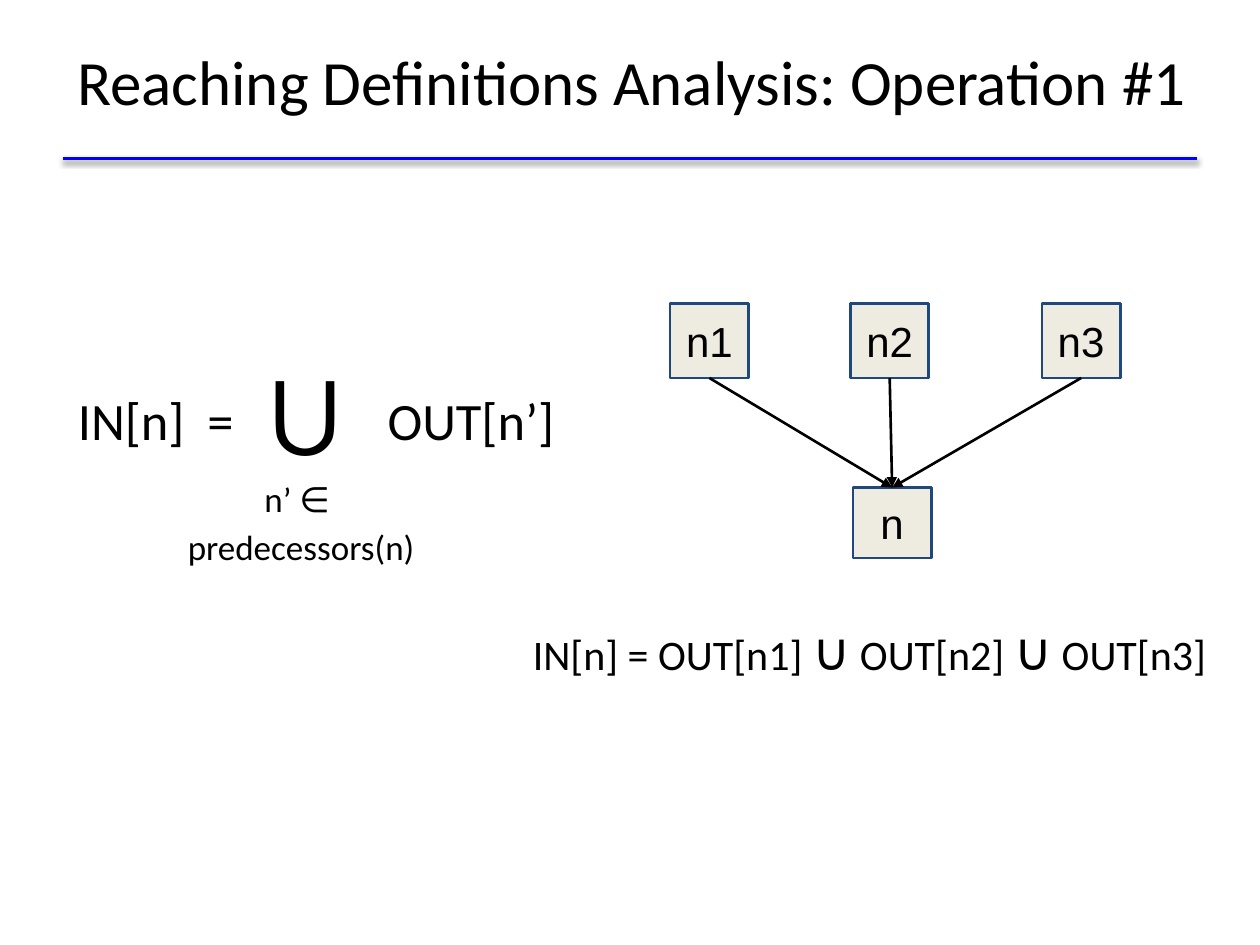
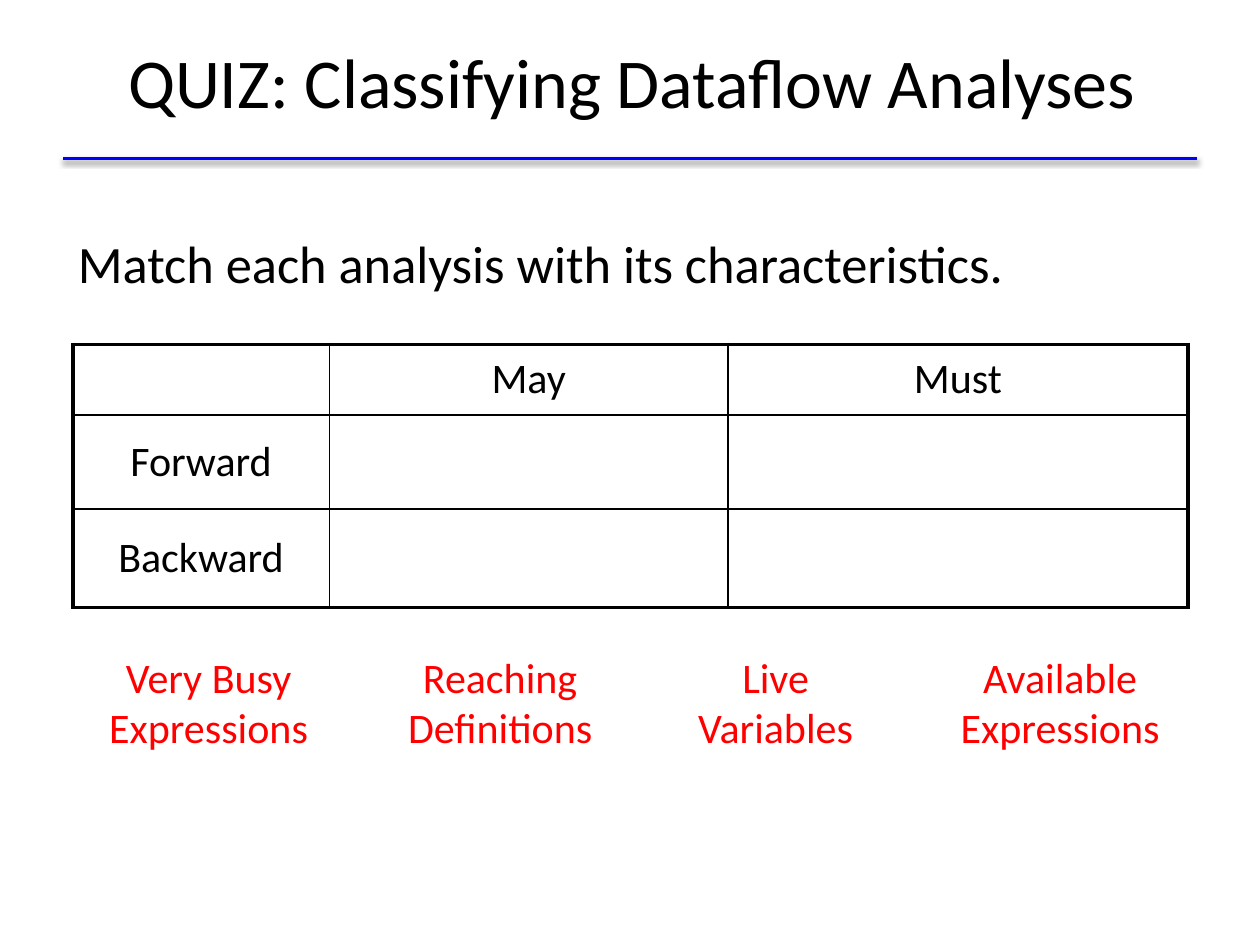
from lxml import etree
from pptx import Presentation
from pptx.dml.color import RGBColor
from pptx.enum import shapes, text
from pptx.oxml import ns
from pptx.util import Pt

BLACK = RGBColor(0x00, 0x00, 0x00)
BLUE = RGBColor(0x00, 0x00, 0xFF)
NAVY = RGBColor(0x1F, 0x49, 0x7D)
CREAM = RGBColor(0xEE, 0xEC, 0xE1)
RED = RGBColor(0xFF, 0x00, 0x00)
BODY, LABEL = "Calibri", "Arial"
CENTER, LEFT = text.PP_ALIGN.CENTER, text.PP_ALIGN.LEFT
TOP, MIDDLE = text.MSO_ANCHOR.TOP, text.MSO_ANCHOR.MIDDLE
UNION = "\u222a"


def add_xml(parent, tag, **attributes):
    return etree.SubElement(parent, ns.qn(tag), attributes)


class Lecture:
    """Holds the deck, its style and the current slide."""

    def __init__(self):
        self.deck = Presentation()
        self.deck.slide_width, self.deck.slide_height = Pt(720), Pt(540)
        self.page = None

    def new_page(self, title, size):
        self.page = self.deck.slides.add_slide(self.deck.slide_layouts[5])
        self.rule()
        box = self.page.shapes.title
        box.left, box.top, box.width, box.height = Pt(35), Pt(1), Pt(652), Pt(90)
        self.fill_frame(box.text_frame, [(title, size)], anchor=MIDDLE)

    def fill_frame(self, frame, spans, font=BODY, color=BLACK, align=CENTER,
                   anchor=TOP, inset=7.2, spaced=False):
        """Fill a frame with (words, size) spans; a newline breaks the line."""
        frame.word_wrap = True
        frame.auto_size = text.MSO_AUTO_SIZE.NONE
        frame.vertical_anchor = anchor
        frame.margin_left = frame.margin_right = Pt(7.2)
        frame.margin_top = frame.margin_bottom = Pt(inset)
        return self.fill_para(frame.paragraphs[0], spans, font, color, align, spaced)

    def fill_para(self, para, spans, font=BODY, color=BLACK, align=CENTER, spaced=False):
        para.alignment = align
        if spaced:
            para.line_spacing, para.space_before = 1.15, Pt(5.9)
        for words, size in spans:
            for index, line in enumerate(words.split("\n")):
                if index:
                    para.add_line_break()
                span = para.add_run()
                span.text = line
                span.font.name, span.font.size = font, Pt(size)
                span.font.bold = False
                span.font.color.rgb = color
        return para

    def text_box(self, left, top, width, height, spans, **style):
        box = self.page.shapes.add_textbox(Pt(left), Pt(top), Pt(width), Pt(height))
        return self.fill_frame(box.text_frame, spans, **style)

    def node(self, left, top, height, name):
        box = self.page.shapes.add_shape(
            shapes.MSO_SHAPE.RECTANGLE, Pt(left), Pt(top), Pt(44.8), Pt(height))
        box.shadow.inherit = False
        box.fill.solid()
        box.fill.fore_color.rgb = CREAM
        box.line.color.rgb, box.line.width = NAVY, Pt(1.5)
        self.fill_frame(box.text_frame, [(name, 24)], font=LABEL, anchor=MIDDLE)
        return box

    def line(self, x1, y1, x2, y2, color, width):
        """Return a straight line and its empty effect list."""
        line = self.page.shapes.add_connector(
            shapes.MSO_CONNECTOR.STRAIGHT, Pt(x1), Pt(y1), Pt(x2), Pt(y2))
        line.line.color.rgb, line.line.width = color, Pt(width)
        return line, add_xml(line._element.spPr, "a:effectLst")

    def rule(self):
        effects = self.line(36, 90.6, 684, 90.6, BLUE, 2)[1]
        shadow = add_xml(effects, "a:outerShdw", blurRad=str(Pt(3.1)),
                         dist=str(Pt(1.6)), dir="5400000", rotWithShape="0")
        shade = add_xml(shadow, "a:srgbClr", val=str(BLACK))
        add_xml(shade, "a:alpha", val="38000")

    def arrow(self, source, target):
        """Join the bottom of one node to the top of another."""
        line = self.line(0, 0, 1, 1, BLACK, 1.5)[0]
        line.begin_connect(source, 2)
        line.end_connect(target, 0)
        add_xml(line._element.spPr.find(ns.qn("a:ln")), "a:tailEnd", type="triangle")

    def grid(self, left, top, widths, heights, rows):
        """Table with a heavy frame and thin inner lines."""
        table = self.page.shapes.add_table(
            len(heights), len(widths), Pt(left), Pt(top),
            Pt(sum(widths)), Pt(sum(heights))).table
        table.first_row = table.horz_banding = False
        for column, width in zip(table.columns, widths):
            column.width = Pt(width)
        for r, (height, row) in enumerate(zip(heights, rows)):
            table.rows[r].height = Pt(height)
            for c, words in enumerate(row):
                cell = table.cell(r, c)
                cell.vertical_anchor = MIDDLE
                cell.margin_top = cell.margin_bottom = Pt(3)
                if words:
                    self.fill_para(cell.text_frame.paragraphs[0], [(words, 24)])
                outer = {"L": c == 0, "R": c == len(widths) - 1,
                         "T": r == 0, "B": r == len(heights) - 1}
                for side, heavy in outer.items():
                    edge = add_xml(cell._tc.get_or_add_tcPr(), "a:ln" + side,
                                   w=str(Pt(2.25 if heavy else 1)))
                    add_xml(add_xml(edge, "a:solidFill"), "a:srgbClr", val=str(BLACK))
                cell.fill.background()


lecture = Lecture()

# Slide 1: union over predecessors
lecture.new_page("Reaching Definitions Analysis: Operation #1", 36)
formula = lecture.text_box(37.4, 213, 300, 80, [("IN[n]\t=\tOUT[n\u2019]", 30)],
                           align=LEFT, inset=3.6, spaced=True)
tabs = add_xml(formula._p.get_or_add_pPr(), "a:tabLst")
for stop in (74, 177):
    add_xml(tabs, "a:tab", pos=str(Pt(stop)), algn="l")
lecture.text_box(71.3, 265.7, 201.6, 38, [("n\u2019 \u2208 \npredecessors(n)", 20)],
                 inset=3.6, spaced=True)
lecture.text_box(142.6, 183.6, 60, 106, [(UNION, 70)], font=LABEL, align=LEFT)

# Flow graph
merge = lecture.node(487.4, 278.6, 40.3, "n")
for name, left in (("n1", 383), ("n2", 486), ("n3", 595.4)):
    lecture.arrow(lecture.node(left, 173.5, 42.5, name), merge)
lecture.text_box(288.7, 334.8, 416.2, 67.7,
                 [("IN[n] = OUT[n1] ", 24), (UNION, 30), (" OUT[n2] ", 24),
                  (UNION, 30), (" OUT[n3]", 24)], anchor=MIDDLE, spaced=True)

# Slide 2: quiz
lecture.new_page("QUIZ: Classifying Dataflow Analyses", 40)
lecture.text_box(37.4, 124.6, 637, 44.6,
                 [("Match each analysis with its characteristics.", 30)], align=LEFT)
lecture.grid(41.6, 196.8, (146.6, 227.8, 262.8), (40.3, 53.8, 56.2),
             [("", "May", "Must"), ("Forward", "", ""), ("Backward", "", "")])

# Answers to match
for left, answer in ((45.4, "Very Busy\nExpressions"), (212, "Reaching\nDefinitions"),
                     (369.4, "Live\nVariables"), (532, "Available\nExpressions")):
    lecture.text_box(left, 365, 147.6, 72, [(answer, 24)], color=RED)

lecture.deck.save("out.pptx")
